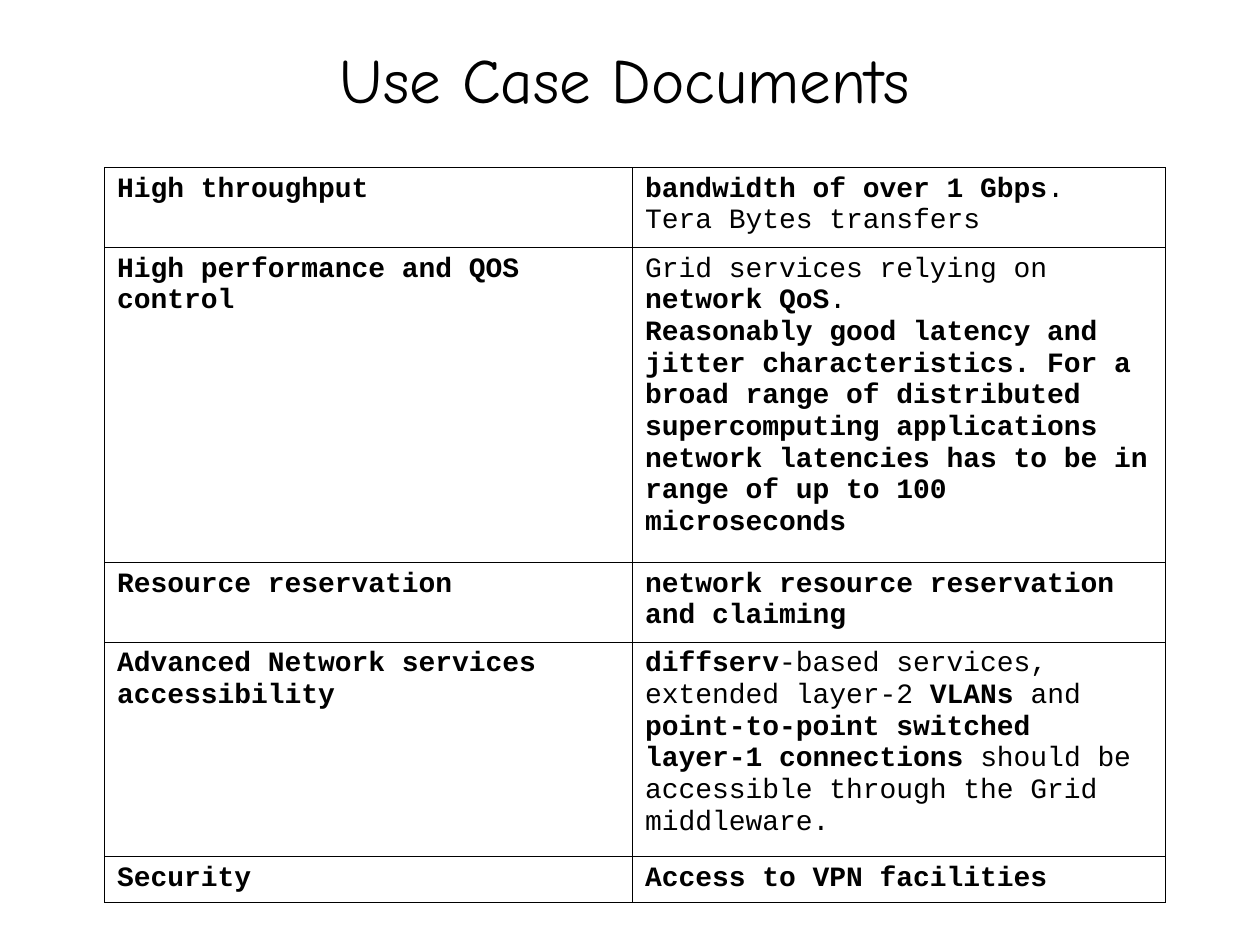
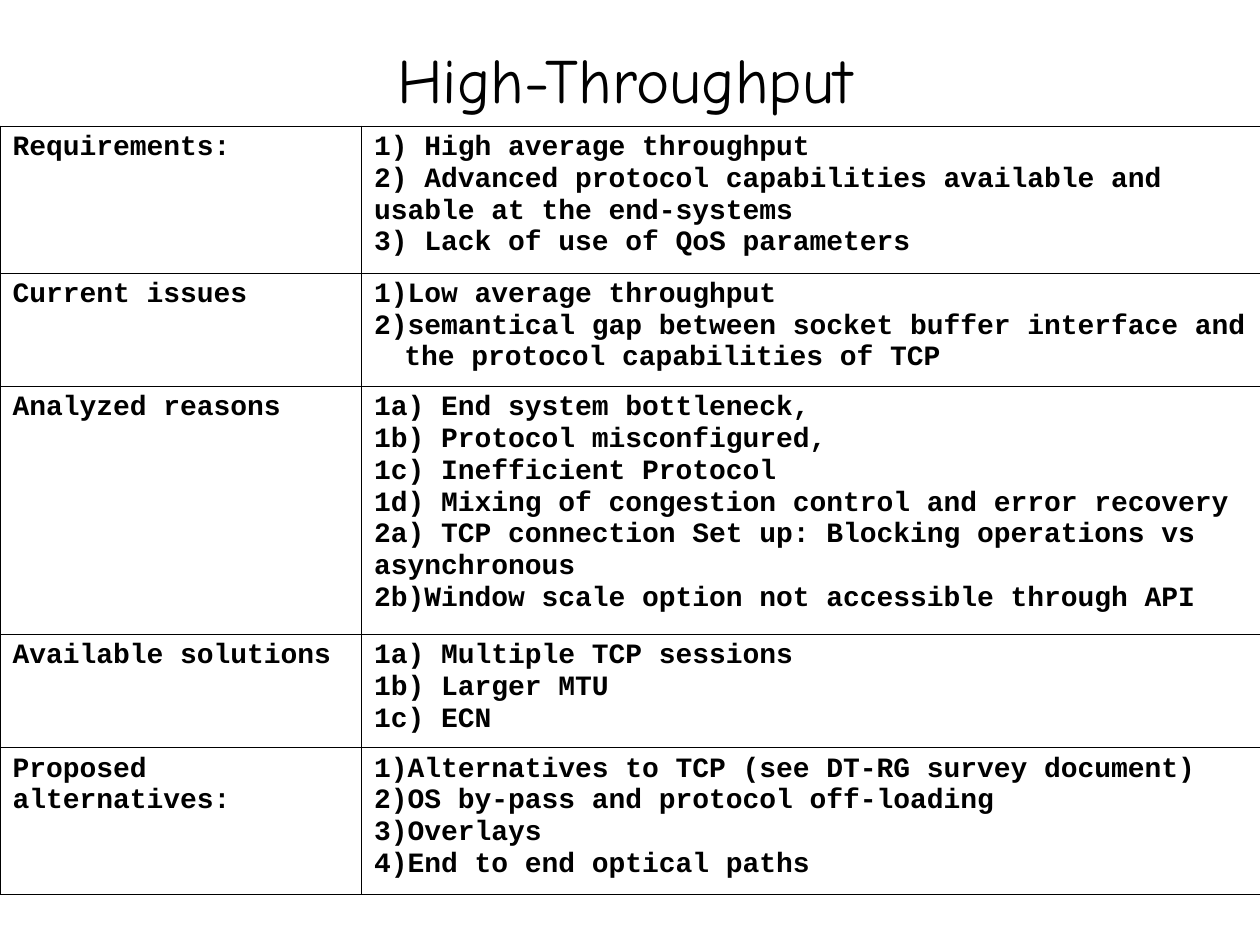
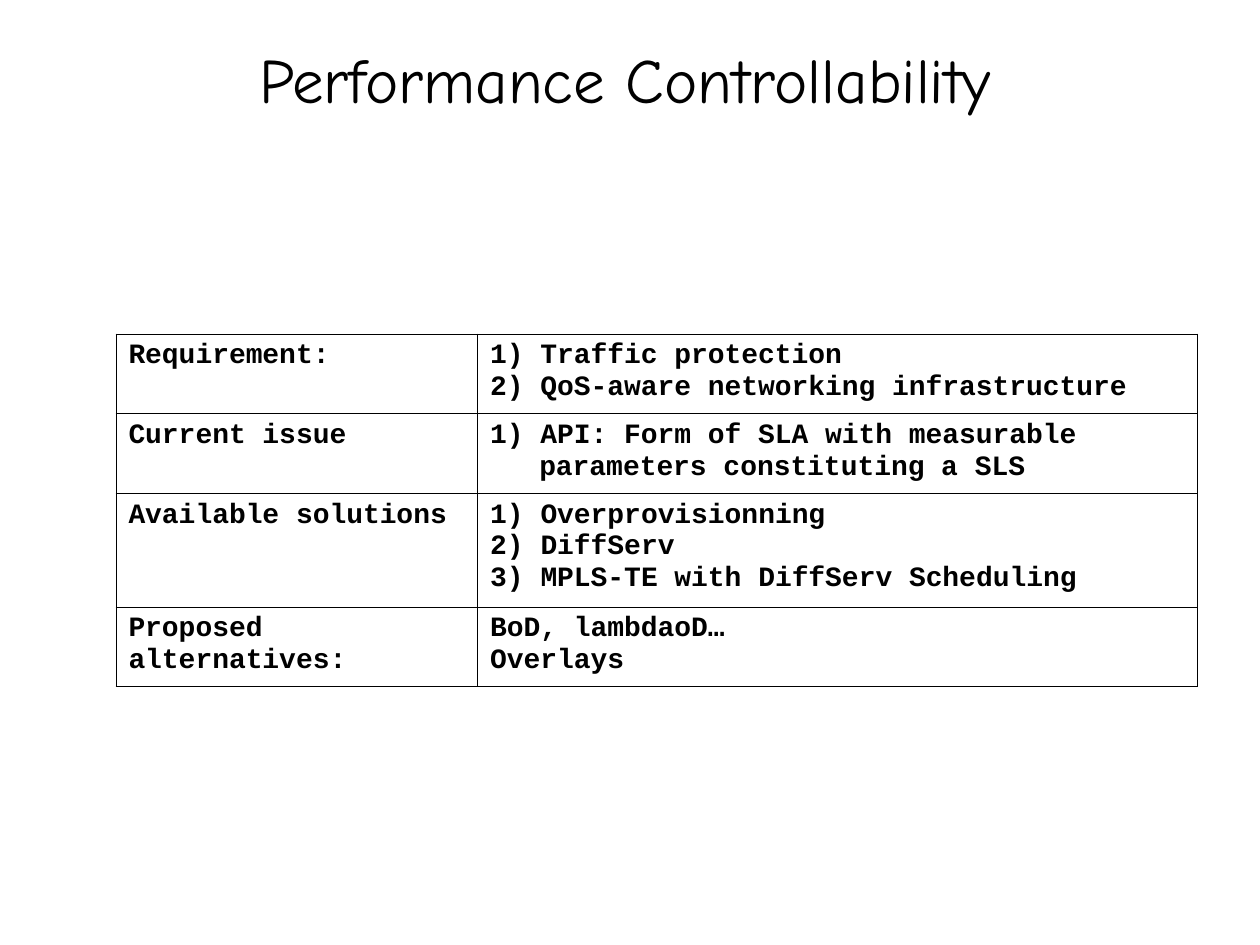
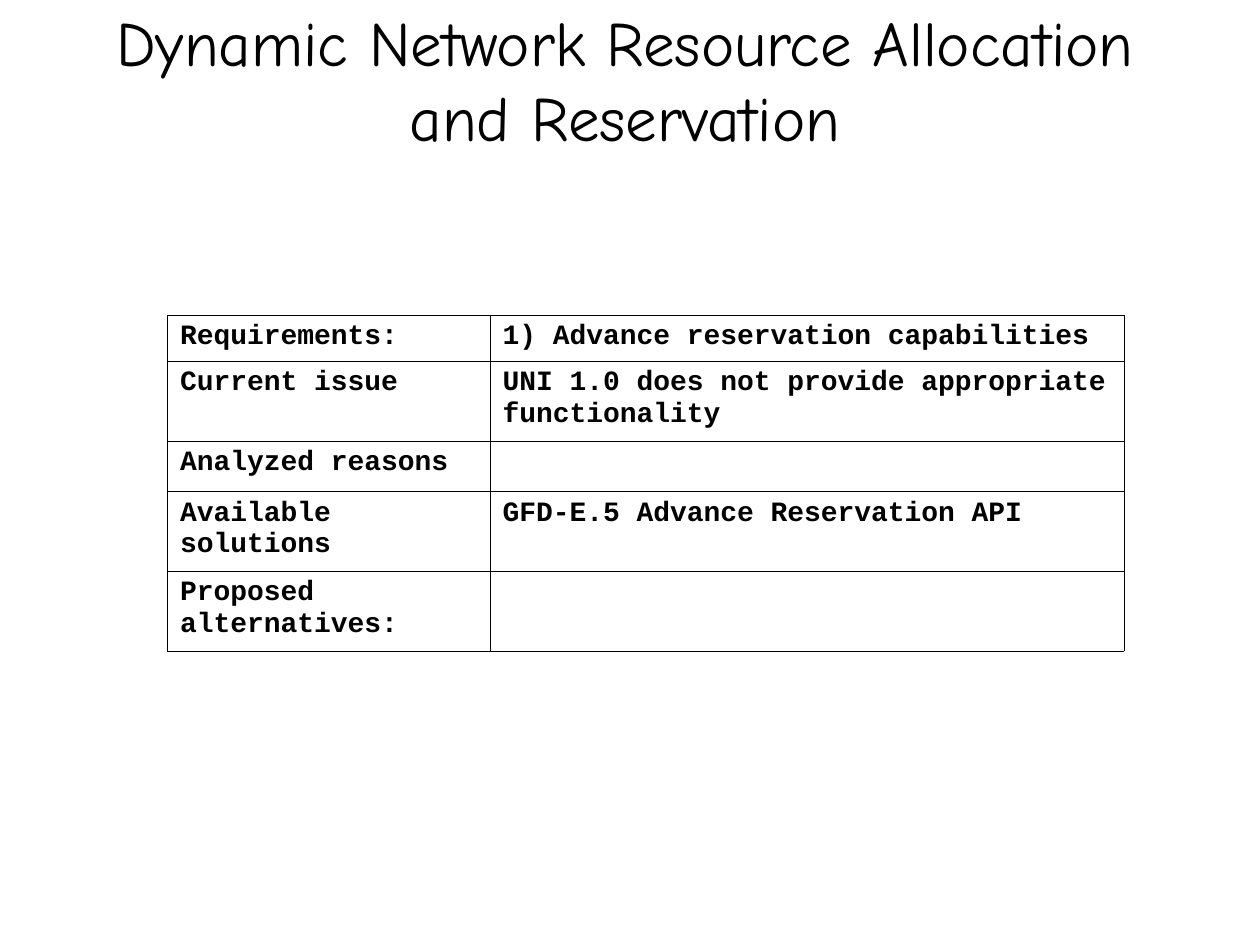
import pptx
import pptx.util
import pptx.dml.color
import pptx.enum.text
import pptx.oxml
import pptx.oxml.ns
from lxml import etree

INK = {"text": "000000", "rule": "000000", "page": "FFFFFF"}
WIDE, HIGH = 10, 7.5
SIZE = 16
LINE = SIZE * 1.2 / 72
PAD = 0.1
HEAD = (0.5, 0, 8.92, 1.25)
LIST = {"hang": 0.24, "num": True}
LOOSE = {"hang": 0.4, "num": True}
HANG = {"hang": 0.39}

# Asterisks switch between bold and regular text; each row opens with its line count.
DECK = [
    {"title": "Use Case Documents", "at": (0.83, 1.33), "cols": (4.19, 4.23), "rows": [
        (2, "High throughput", ["bandwidth of over 1 Gbps*.", "*Tera Bytes transfers"]),
        (9, "High performance and QOS control", [
            "*Grid services relying on *network QoS*.",
            "Reasonably good latency and jitter characteristics. For a broad range of "
            "distributed supercomputing applications network latencies has to be in "
            "range of up to 100 microseconds"]),
        (2, "Resource reservation", ["network resource reservation and claiming"]),
        (6, "Advanced Network services accessibility", [
            "diffserv*-based services, extended layer-2* VLANs *and* point-to-point "
            "switched layer-1 connections *should be accessible through the Grid middleware."]),
        (1, "Security", ["Access to VPN facilities"]),
    ]},
    {"title": "High-Throughput", "at": (0, 1), "cols": (2.87, 7.13), "rows": [
        (4, "Requirements:", [
            "1) High average throughput",
            "2) Advanced protocol capabilities available and usable at the end-systems",
            "3) Lack of use of QoS parameters"]),
        (3, "Current issues", [
            "Low average throughput",
            "semantical gap between socket buffer interface and the protocol "
            "capabilities of TCP"], LIST),
        (7, "Analyzed reasons", [
            "1a) End system bottleneck,",
            "1b) Protocol misconfigured,",
            "1c) Inefficient Protocol",
            "1d) Mixing of congestion control and error recovery",
            "2a) TCP connection Set up: Blocking operations vs asynchronous",
            "2b)Window scale option not accessible through API"]),
        (3, "Available solutions", ["1a) Multiple TCP sessions", "1b) Larger MTU", "1c) ECN"]),
        (4, "Proposed alternatives:", [
            "Alternatives to TCP (see DT-RG survey document)",
            "OS by-pass and protocol off-loading",
            "Overlays",
            "End to end optical paths"], LIST),
    ]},
    {"title": "Performance Controllability", "at": (0.92, 2.65), "cols": (2.87, 5.71), "rows": [
        (2, "Requirement:", [
            "1) Traffic protection", "2) QoS-aware networking infrastructure"]),
        (2, "Current issue", [
            "1) API: Form of SLA with measurable parameters constituting a SLS"], HANG),
        (3, "Available solutions", [
            "Overprovisionning", "DiffServ", "MPLS-TE with DiffServ Scheduling"], LOOSE),
        (2, "Proposed alternatives:", ["BoD, lambdaoD…", "Overlays"]),
    ]},
    {"title": "Dynamic Network Resource Allocation and Reservation",
     "at": (1.33, 2.5), "cols": (2.56, 5.03), "rows": [
        (1, "Requirements:", ["1) Advance reservation capabilities"]),
        (2, "Current issue", ["UNI 1.0 does not provide appropriate functionality"]),
        (1, "Analyzed reasons", []),
        (2, "Available solutions", ["GFD-E.5 Advance Reservation API"]),
        (2, "Proposed alternatives:", []),
    ]},
]


def inch(*sizes):
    return [pptx.util.Inches(size) for size in sizes]


def tint(name):
    return pptx.dml.color.RGBColor.from_string(INK[name])


def node(home, tag, **attrs):
    return etree.SubElement(home, pptx.oxml.ns.qn(tag), attrs)


def paint(home, name):
    node(node(home, "a:solidFill"), "a:srgbClr", val=INK[name])


def write(frame, lines, font="Courier New", size=SIZE, bold=True, align=None,
          hang=0, num=False):
    for i, line in enumerate(lines):
        para = frame.paragraphs[0] if i == 0 else frame.add_paragraph()
        para.alignment = align
        props = para._p.get_or_add_pPr()
        if hang:
            gap = pptx.util.Inches(hang)
            props.set("marL", str(gap))
            props.set("indent", str(-gap))
        if num:
            node(node(props, "a:buClr"), "a:srgbClr", val=INK["text"])
            node(props, "a:buAutoNum", type="arabicParenR")
        for j, part in enumerate(line.split("*")):
            if part:
                run = para.add_run()
                run.text = part
                run.font.name = font
                run.font.size = pptx.util.Pt(size)
                run.font.bold = bold and j % 2 == 0
                run.font.color.rgb = tint("text")


def frame_cell(cell):
    props = cell._tc.get_or_add_tcPr()
    for side in ("a:lnL", "a:lnR", "a:lnT", "a:lnB"):
        paint(node(props, side, w=str(pptx.util.Pt(0.45))), "rule")
    cell.fill.background()


def add_title(slide, text):
    frame = slide.shapes.add_textbox(*inch(*HEAD)).text_frame
    frame.word_wrap = True
    frame.vertical_anchor = pptx.enum.text.MSO_ANCHOR.MIDDLE
    write(frame, [text], font="Comic Neue", size=36, bold=False,
          align=pptx.enum.text.PP_ALIGN.CENTER)


def add_grid(slide, at, cols, rows):
    tall = [PAD + row[0] * LINE for row in rows]
    box = inch(*at, sum(cols), sum(tall))
    table = slide.shapes.add_table(len(rows), len(cols), *box).table
    table.first_row = table.horz_banding = False
    for col, width in zip(table.columns, inch(*cols)):
        col.width = width
    for row, height, (_, label, lines, *style) in zip(table.rows, inch(*tall), rows):
        row.height = height
        name, body = row.cells
        write(name.text_frame, [label])
        write(body.text_frame, lines, **(style[0] if style else {}))
        for cell in (name, body):
            frame_cell(cell)


def main():
    deck = pptx.Presentation()
    deck.slide_width, deck.slide_height = inch(WIDE, HIGH)
    for page in DECK:
        slide = deck.slides.add_slide(deck.slide_layouts[6])
        slide.background.fill.solid()
        slide.background.fill.fore_color.rgb = tint("page")
        add_title(slide, page["title"])
        add_grid(slide, page["at"], page["cols"], page["rows"])
    deck.save("out.pptx")


if __name__ == "__main__":
    main()
